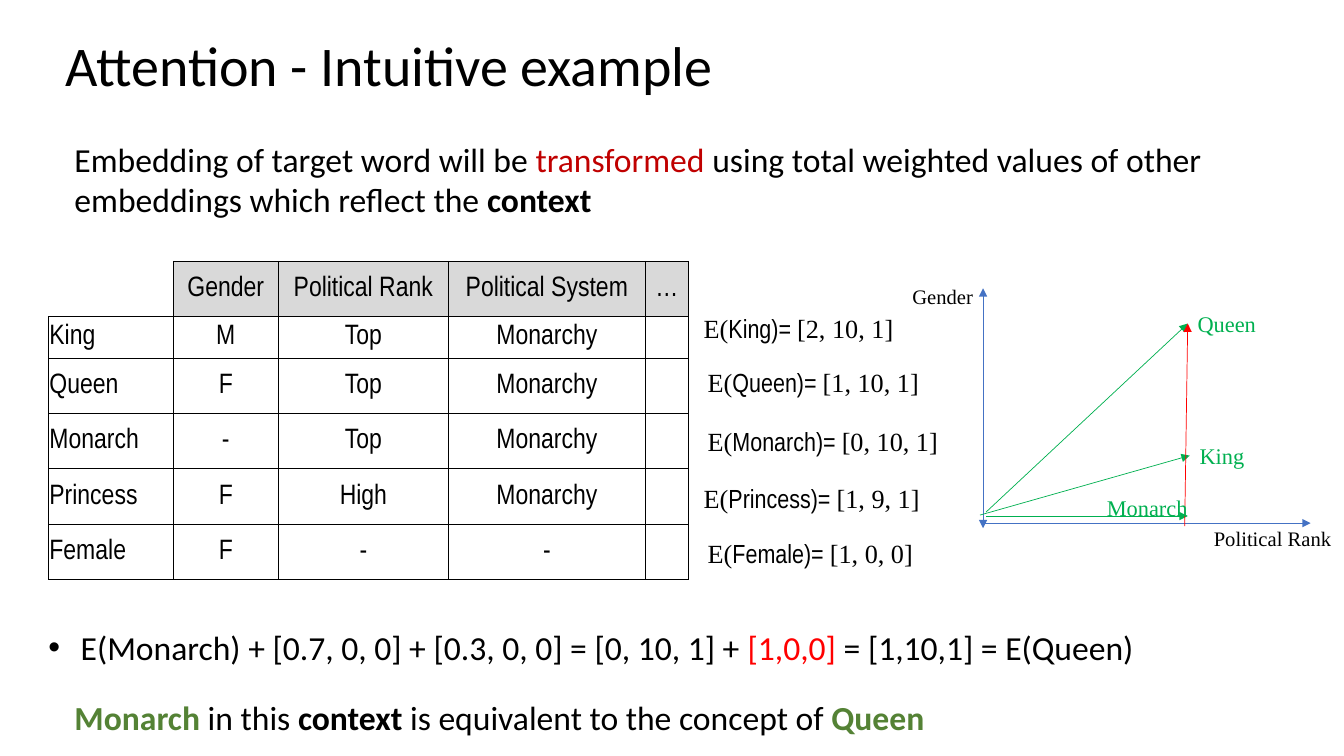
"""Builds the slide that explains attention with an embedding example."""
import dataclasses

import lxml.etree
import pptx
import pptx.dml.color
import pptx.enum.shapes
import pptx.enum.text
import pptx.oxml.ns
import pptx.util

SCALE = 9144


@dataclasses.dataclass(frozen=True)
class Theme:
    """Holds the colours, fonts and type sizes of the slide."""
    black: str = "000000"
    header: str = "D9D9D9"
    axis: str = "4472C4"
    vector: str = "00B050"
    shift: str = "FF0000"
    accent: str = "C00000"
    concept: str = "548235"
    sans: str = "Calibri"
    narrow: str = "Arial Narrow"
    serif: str = "Times New Roman"
    title: float = 40
    body: float = 24
    cell: float = 20
    formula: float = 18.7
    label: float = 16
    axis_label: float = 14.7
    line: float = 0.5


THEME = Theme()


def px(n):
    """Turns px into EMU."""
    return pptx.util.Emu(n * SCALE)


def rgb(color):
    """Turns a hex string into a colour."""
    return pptx.dml.color.RGBColor.from_string(color)


def add_run(p, text, size, font=THEME.sans, color=THEME.black, bold=False):
    """Adds one formatted run to a paragraph."""
    r = p.add_run()
    r.text = text
    r.font.size = pptx.util.Pt(size)
    r.font.name = font
    r.font.bold = bold
    r.font.color.rgb = rgb(color)


def add_text(s, box, inset=10):
    """Adds a wrapping text box and returns its paragraph."""
    tf = s.shapes.add_textbox(*map(px, box)).text_frame
    tf.word_wrap = True
    tf.margin_left = px(inset)
    return tf.paragraphs[0]


def place(sp, box, anchor):
    """Moves a placeholder, clears its insets and returns its paragraph."""
    sp.left, sp.top, sp.width, sp.height = map(px, box)
    tf = sp.text_frame
    tf.margin_left = tf.margin_right = tf.margin_top = tf.margin_bottom = 0
    tf.auto_size = pptx.enum.text.MSO_AUTO_SIZE.NONE
    tf.vertical_anchor = anchor
    p = tf.paragraphs[0]
    p.alignment = pptx.enum.text.PP_ALIGN.LEFT
    p.line_spacing = 0.9
    p.space_before = pptx.util.Pt(0)
    return p


def add_title(s, box):
    """Fills the title placeholder."""
    p = place(s.shapes.title, box, pptx.enum.text.MSO_ANCHOR.MIDDLE)
    add_run(p, "Attention - Intuitive example", THEME.title)


def add_intro(s, box):
    """Adds the sentence under the title."""
    p = add_text(s, box)
    add_run(p, "Embedding of target word will be ", THEME.body)
    add_run(p, "transformed", THEME.body, color=THEME.accent)
    add_run(p, " using total weighted values of other embeddings which reflect the ", THEME.body)
    add_run(p, "context", THEME.body, bold=True)


def add_border(cell, side, visible):
    """Draws or hides one border of a cell."""
    tag = pptx.oxml.ns.qn
    width = str(pptx.util.Pt(THEME.line))
    ln = lxml.etree.SubElement(cell._tc.get_or_add_tcPr(), tag("a:ln" + side), w=width)
    if visible:
        fill = lxml.etree.SubElement(ln, tag("a:solidFill"))
        lxml.etree.SubElement(fill, tag("a:srgbClr"), val=THEME.black)
    else:
        lxml.etree.SubElement(ln, tag("a:noFill"))


def add_features(s, box):
    """Adds the table of word features."""
    rows = [
        ["", "Gender", "Political Rank", "Political System", "…"],
        ["King", "M", "Top", "Monarchy", ""],
        ["Queen", "F", "Top", "Monarchy", ""],
        ["Monarch", "-", "Top", "Monarchy", ""],
        ["Princess", "F", "High", "Monarchy", ""],
        ["Female", "F", "-", "-", ""],
    ]
    table = s.shapes.add_table(len(rows), len(rows[0]), *map(px, box)).table
    table.first_row = table.horz_banding = False
    for column, width in zip(table.columns, [124, 104, 169, 195, 43]):
        column.width = px(width)
    for i, words in enumerate(rows):
        table.rows[i].height = px(41 if i == 1 else 55)
        for j, word in enumerate(words):
            cell = table.cell(i, j)
            cell.margin_left = cell.margin_right = cell.margin_top = px(1)
            cell.margin_bottom = 0
            cell.vertical_anchor = pptx.enum.text.MSO_ANCHOR.MIDDLE
            for side in "LRTB":
                add_border(cell, side, i + j > 0 or side in "RB")
            if i == 0 and j > 0:
                cell.fill.solid()
                cell.fill.fore_color.rgb = rgb(THEME.header)
            else:
                cell.fill.background()
            if word:
                p = cell.text_frame.paragraphs[0]
                align = pptx.enum.text.PP_ALIGN
                p.alignment = align.CENTER if j or not i else align.LEFT
                add_run(p, word, THEME.cell, THEME.narrow)


def add_embeddings(s, box):
    """Adds the embedding formula of each word."""
    left, top, width, height = box
    formulas = [
        (0, 0, "King", "[2, 10, 1]"),
        (4, 53, "Queen", "[1, 10, 1]"),
        (4, 112, "Monarch", "[0, 10, 1]"),
        (0, 169, "Princess", "[1, 9, 1]"),
        (4, 223, "Female", "[1, 0, 0]"),
    ]
    for x, y, word, vector in formulas:
        p = add_text(s, (left + x, top + y, width, height), inset=16)
        add_run(p, "E(", THEME.formula, THEME.serif)
        add_run(p, word + ")= ", THEME.formula, THEME.narrow)
        add_run(p, vector, THEME.formula, THEME.serif)


def add_arrow(s, start, end, color):
    """Adds a thin arrow between two points."""
    tag = pptx.oxml.ns.qn
    kind = pptx.enum.shapes.MSO_CONNECTOR.STRAIGHT
    sp = s.shapes.add_connector(kind, *map(px, start + end))
    sp.line.color.rgb = rgb(color)
    sp.line.width = pptx.util.Pt(THEME.line)
    lxml.etree.SubElement(sp.line._get_or_add_ln(), tag("a:tailEnd"), type="triangle")
    lxml.etree.SubElement(sp._element.spPr, tag("a:effectLst"))


def add_graph(s, box):
    """Adds the axes, word vectors and labels of the graph."""
    left, top = box[:2]
    arrows = [
        ((80, 242), (405, 242), THEME.axis),
        ((80, 118), (80, 9), THEME.axis),
        ((80, 115), (80, 247), THEME.axis),
        ((83, 231), (283, 44), THEME.vector),
        ((77, 234), (285, 175), THEME.vector),
        ((83, 235), (283, 235), THEME.vector),
        ((280, 245), (283, 44), THEME.shift),
    ]
    for (x1, y1), (x2, y2), color in arrows:
        add_arrow(s, (left + x1, top + y1), (left + x2, top + y2), color)
    axis = (THEME.axis_label, THEME.serif, THEME.black)
    vector = (THEME.label, THEME.serif, THEME.vector)
    labels = [
        ("Gender", (0, 0, 122, 35), axis),
        ("Political Rank", (299, 240, 146, 35), axis),
        ("Queen", (283, 26, 140, 37), vector),
        ("King", (285, 157, 140, 37), vector),
        ("Monarch", (193, 208, 173, 37), vector),
    ]
    for text, (x, y, width, height), style in labels:
        add_run(add_text(s, (left + x, top + y, width, height)), text, *style)


def add_sum(s, box):
    """Fills the body placeholder with the bulleted sum."""
    p = place(s.placeholders[1], box, pptx.enum.text.MSO_ANCHOR.TOP)
    pPr = p._p.get_or_add_pPr()
    pPr.set("marL", str(px(32)))
    pPr.set("indent", str(-px(32)))
    lxml.etree.SubElement(pPr, pptx.oxml.ns.qn("a:buChar"), char="•")
    add_run(p, "E(Monarch) + [0.7, 0, 0] + [0.3, 0, 0] = [0, 10, 1] + ", THEME.body)
    add_run(p, "[1,0,0] ", THEME.body, color=THEME.shift)
    add_run(p, "= [1,10,1] = E(Queen)", THEME.body)


def add_conclusion(s, box):
    """Adds the closing sentence."""
    p = add_text(s, box)
    add_run(p, "Monarch", THEME.body, color=THEME.concept, bold=True)
    add_run(p, " in this ", THEME.body)
    add_run(p, "context", THEME.body, bold=True)
    add_run(p, " is equivalent to the concept of ", THEME.body)
    add_run(p, "Queen", THEME.body, color=THEME.concept, bold=True)


def main():
    """Builds and saves the presentation."""
    prs = pptx.Presentation()
    prs.slide_width, prs.slide_height = px(1333), px(750)
    s = prs.slides.add_slide(prs.slide_layouts[1])
    add_title(s, (65, 34, 1013, 67))
    add_intro(s, (64, 133, 1221, 90))
    add_features(s, (48, 259, 635, 316))
    add_embeddings(s, (682, 305, 333, 42))
    add_graph(s, (895, 277, 445, 275))
    add_sum(s, (48, 626, 1214, 36))
    add_conclusion(s, (64, 686, 1102, 50))
    prs.save("out.pptx")


if __name__ == "__main__":
    main()
